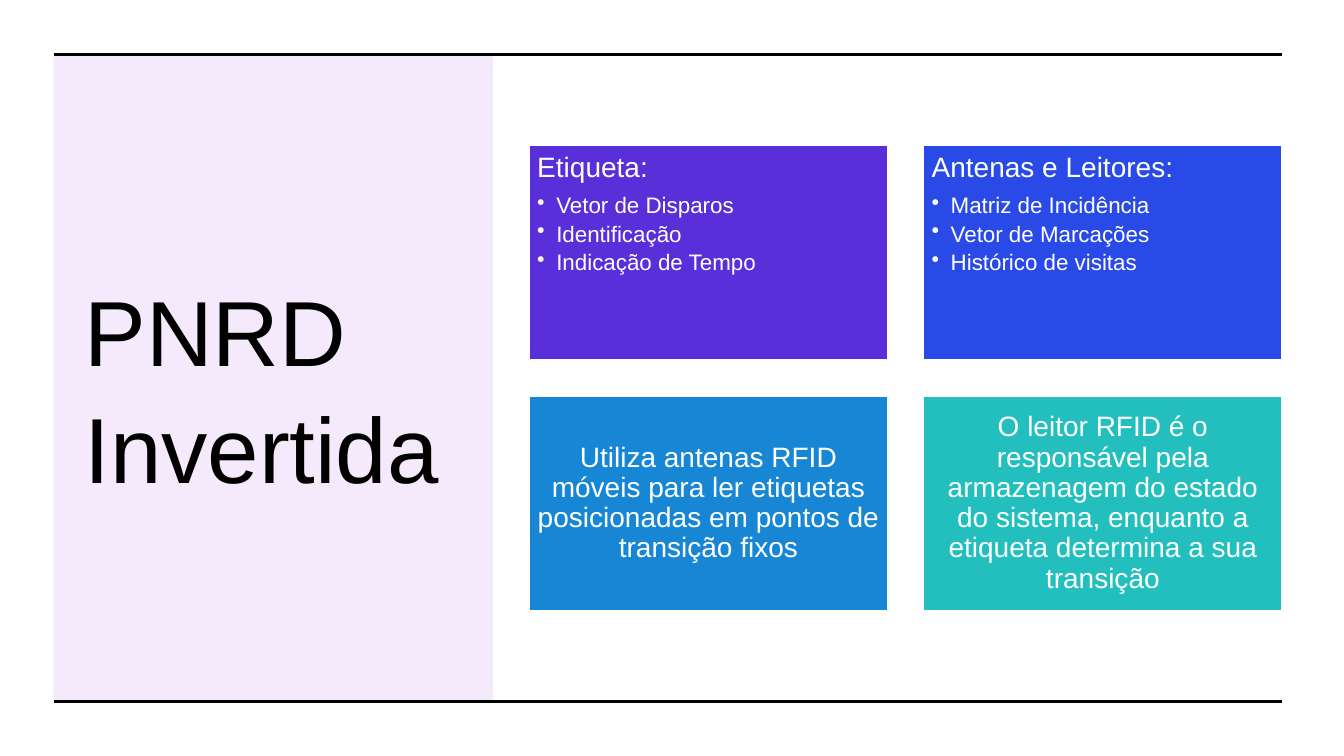
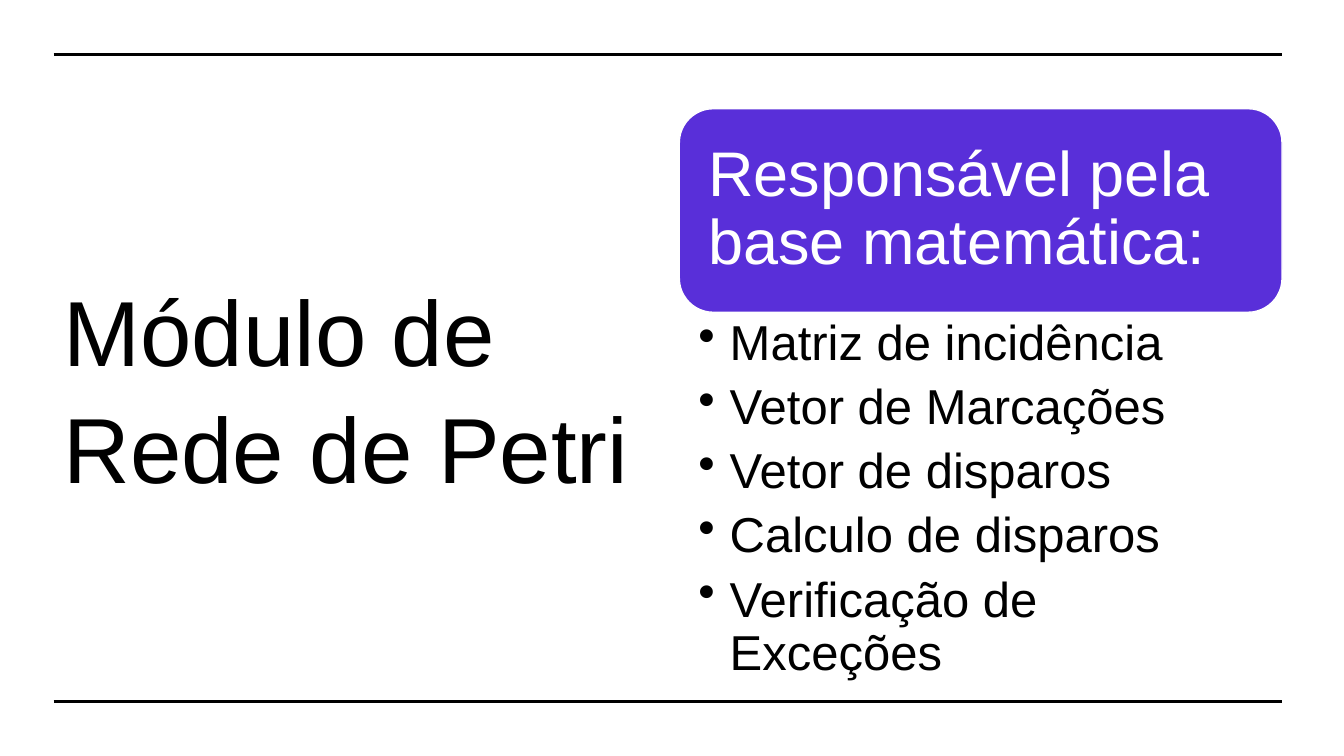
from lxml import etree
from pptx import Presentation
from pptx.dml.color import RGBColor
from pptx.enum.shapes import MSO_CONNECTOR, MSO_SHAPE
from pptx.enum.text import MSO_ANCHOR, MSO_AUTO_SIZE, PP_ALIGN
from pptx.oxml.ns import qn
from pptx.util import Cm, Pt

# Content
CARDS = [
    ("592FD9", "Etiqueta:",
     ["Vetor de Disparos", "Identificação", "Indicação de Tempo"]),
    ("294AE7", "Antenas e Leitores:",
     ["Matriz de Incidência", "Vetor de Marcações", "Histórico de visitas"]),
    ("1787D5", "Utiliza antenas RFID móveis para ler etiquetas "
               "posicionadas em pontos de transição fixos", []),
    ("22BFBE", "O leitor RFID é o responsável pela armazenagem do estado do "
               "sistema, enquanto a etiqueta determina a sua transição", []),
]
DUTIES_HEADING = "Responsável pela base matemática:"
DUTIES = ["Matriz de incidência", "Vetor de Marcações", "Vetor de disparos",
          "Calculo de disparos", "Verificação de Exceções"]

# Shared style, lengths in cm
FONT = "Arial"
BLACK, WHITE, PURPLE, LILAC = "000000", "FFFFFF", "592FD9", "A629E7"
LEFT, RIGHT = 1.35, 32.31
RULE_TOP, RULE_BOTTOM = 1.37, 17.68


def rgb(value):
    return RGBColor.from_string(value)


def style_paragraph(paragraph, size, color, align=PP_ALIGN.LEFT,
                    line_spacing=0.9, after=0):
    paragraph.alignment = align
    paragraph.line_spacing = line_spacing
    paragraph.space_before = Pt(0)
    paragraph.space_after = Pt(after)
    for run in paragraph.runs:
        run.font.name = FONT
        run.font.size = Pt(size)
        run.font.color.rgb = rgb(color)


def add_bullet(paragraph, indent):
    props = paragraph._p.get_or_add_pPr()
    props.set("marL", str(Cm(indent)))
    props.set("indent", str(-Cm(indent)))
    etree.SubElement(props, qn("a:buChar")).set("char", "•")


def prepare_frame(frame, insets, anchor):
    frame.word_wrap = True
    frame.auto_size = MSO_AUTO_SIZE.NONE
    frame.vertical_anchor = anchor
    (frame.margin_left, frame.margin_top,
     frame.margin_right, frame.margin_bottom) = [Cm(i) for i in insets]


def add_block(slide, kind, box, fill, outlined=True):
    block = slide.shapes.add_shape(kind, *[Cm(v) for v in box])
    block.shadow.inherit = False
    block.fill.solid()
    block.fill.fore_color.rgb = rgb(fill)
    if outlined:
        block.line.color.rgb = rgb(WHITE)
        block.line.width = Pt(1)
    else:
        block.line.fill.background()
    return block


def add_titled_slide(prs, title_text, box):
    slide = prs.slides.add_slide(prs.slide_layouts[5])
    title = slide.shapes.title
    title.left, title.top, title.width, title.height = [Cm(v) for v in box]
    title.text_frame.text = title_text
    prepare_frame(title.text_frame, (0.25, 0.13, 0.25, 0.13), MSO_ANCHOR.MIDDLE)
    style_paragraph(title.text_frame.paragraphs[0], 66, BLACK, line_spacing=1.05)
    return slide


def add_rules(slide):
    for y in (RULE_TOP, RULE_BOTTOM):
        rule = slide.shapes.add_connector(
            MSO_CONNECTOR.STRAIGHT, Cm(LEFT), Cm(y), Cm(RIGHT), Cm(y))
        rule.line.color.rgb = rgb(BLACK)
        rule.line.width = Pt(2.25)
        etree.SubElement(rule._element.spPr, qn("a:effectLst"))


def build_inverted_slide(prs):
    slide = add_titled_slide(prs, "PNRD Invertida", (1.88, 2.72, 9.88, 13.97))

    # Translucent panel behind the title
    panel = add_block(slide, MSO_SHAPE.RECTANGLE,
                      (LEFT, RULE_TOP, 11.07, RULE_BOTTOM - RULE_TOP),
                      LILAC, outlined=False)
    tint = panel._element.spPr.find(qn("a:solidFill"))[0]
    etree.SubElement(tint, qn("a:alpha")).set("val", "10000")
    slide.shapes._spTree.insert(2, panel._element)
    add_rules(slide)

    # Two by two cards
    grid_left, grid_top, height, gap, columns = 13.34, 3.66, 5.41, 0.91, 2
    width = (RIGHT - grid_left - gap) / columns
    for index, (color, heading, items) in enumerate(CARDS):
        row, column = divmod(index, columns)
        card = add_block(slide, MSO_SHAPE.RECTANGLE,
                         (grid_left + column * (width + gap),
                          grid_top + row * (height + gap), width, height), color)
        frame = card.text_frame
        prepare_frame(frame, [0.2] * 4,
                      MSO_ANCHOR.TOP if items else MSO_ANCHOR.MIDDLE)
        frame.text = heading
        style_paragraph(frame.paragraphs[0], 20, WHITE,
                        PP_ALIGN.LEFT if items else PP_ALIGN.CENTER,
                        after=8 if items else 0)
        for item in items:
            paragraph = frame.add_paragraph()
            paragraph.text = item
            style_paragraph(paragraph, 16, WHITE, after=3)
            add_bullet(paragraph, 0.48)


def build_petri_slide(prs):
    slide = add_titled_slide(prs, "Módulo de Rede de Petri",
                             (LEFT, 2.41, 15.6, 14.6))
    add_rules(slide)

    # Heading block
    left, top, height = 17.12, 2.74, 5.13
    width = RIGHT - left
    heading = add_block(slide, MSO_SHAPE.ROUNDED_RECTANGLE,
                        (left, top, width, height), PURPLE)
    prepare_frame(heading.text_frame, [0.48] * 4, MSO_ANCHOR.MIDDLE)
    heading.text_frame.text = DUTIES_HEADING
    style_paragraph(heading.text_frame.paragraphs[0], 45, WHITE)

    # Duties list
    duties = slide.shapes.add_textbox(Cm(left), Cm(top + height),
                                      Cm(width), Cm(8.79)).text_frame
    prepare_frame(duties, (0.48, 0.15, 0.89, 0.15), MSO_ANCHOR.TOP)
    duties.text = "\n".join(DUTIES)
    for paragraph in duties.paragraphs:
        style_paragraph(paragraph, 35, BLACK, after=8)
        add_bullet(paragraph, 0.79)


def main():
    prs = Presentation()
    prs.slide_width, prs.slide_height = Cm(33.87), Cm(19.05)
    build_inverted_slide(prs)
    build_petri_slide(prs)
    prs.save("out.pptx")


if __name__ == "__main__":
    main()
